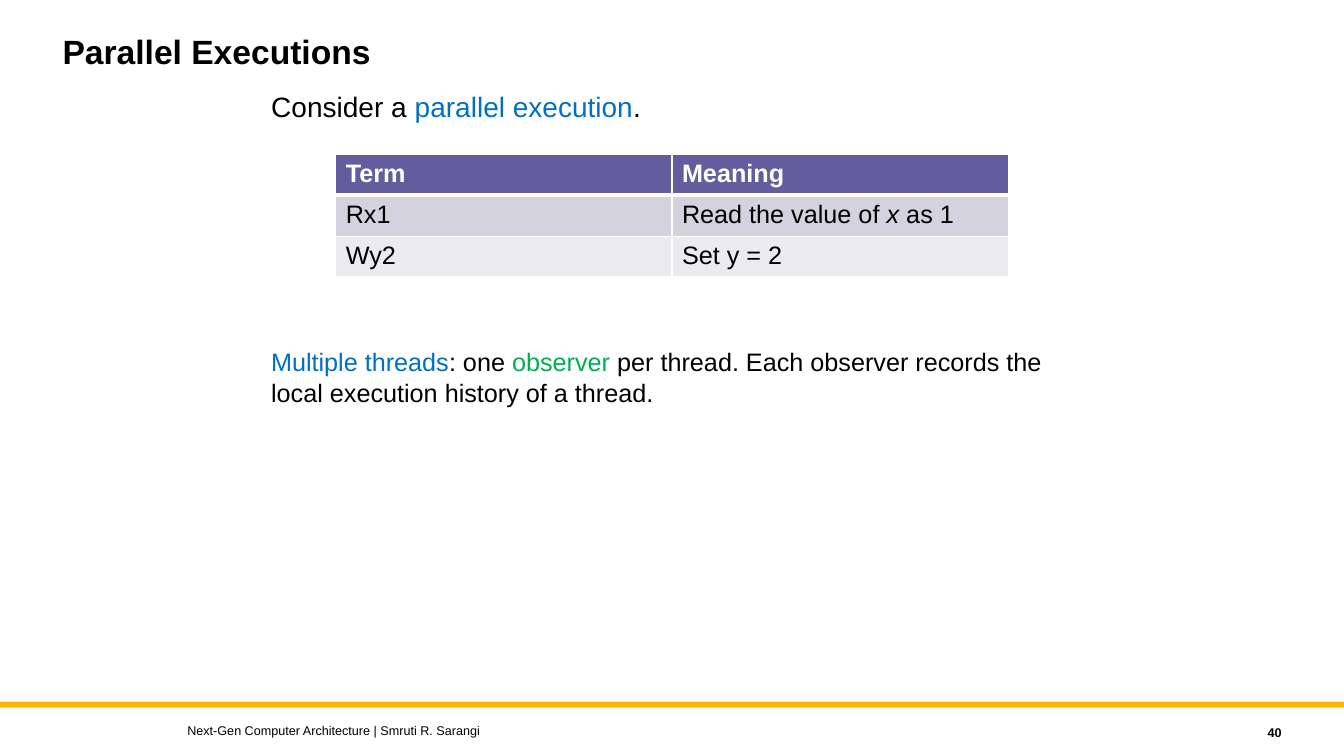
from lxml import etree
from pptx import Presentation
from pptx.dml.color import RGBColor
from pptx.enum.shapes import MSO_SHAPE
from pptx.enum.text import MSO_ANCHOR, MSO_AUTO_SIZE, PP_ALIGN
from pptx.oxml.ns import qn
from pptx.util import Inches, Pt

COLORS = {
    "black": "000000", "white": "FFFFFF", "blue": "0070C0", "green": "00B050",
    "gold": "FFB600", "header": "625D9C", "band_dark": "D3D2DE", "band_light": "EAEAEF",
}


def rgb(name):
    return RGBColor.from_string(COLORS[name])


class SlideBuilder:
    font_name = "Arial"

    def __init__(self, page):
        self.page = page

    def place(self, shape, left, top, width, height):
        shape.left, shape.top = Inches(left), Inches(top)
        shape.width, shape.height = Inches(width), Inches(height)

    def fill_text(self, frame, spans, size, color="black", bold=False,
                  align=PP_ALIGN.LEFT, line_spacing=1.0):
        """Fill the first paragraph; a span is (text, colour or None, italic)."""
        paragraph = frame.paragraphs[0]
        paragraph.alignment = align
        paragraph.line_spacing = line_spacing
        paragraph.space_before = Pt(0)
        font = paragraph.font
        font.name, font.size, font.bold = self.font_name, Pt(size), bold
        font.color.rgb = rgb(color)
        for text, span_color, italic in spans:
            for number, line in enumerate(text.split("\n")):
                if number:
                    paragraph.add_line_break()
                span = paragraph.add_run()
                span.text = line
                if span_color:
                    span.font.color.rgb = rgb(span_color)
                if italic:
                    span.font.italic = True

    def placeholder(self, shape, area, spans, size, **style):
        self.place(shape, *area)
        frame = shape.text_frame
        frame.auto_size = MSO_AUTO_SIZE.NONE
        frame.vertical_anchor = MSO_ANCHOR.TOP
        properties = frame.paragraphs[0]._p.get_or_add_pPr()
        properties.set("marL", "0")
        properties.set("indent", "0")
        etree.SubElement(properties, qn("a:buNone"))
        self.fill_text(frame, spans, size, **style)

    def text(self, area, spans, size, anchor=MSO_ANCHOR.TOP, wrap=True, **style):
        box = self.page.shapes.add_textbox(*map(Inches, area))
        box.text_frame.word_wrap = wrap
        box.text_frame.vertical_anchor = anchor
        self.fill_text(box.text_frame, spans, size, **style)

    def bar(self, area, color):
        shape = self.page.shapes.add_shape(MSO_SHAPE.RECTANGLE, *map(Inches, area))
        shape.shadow.inherit = False
        shape.fill.solid()
        shape.fill.fore_color.rgb = rgb(color)
        shape.line.fill.background()

    def borders(self, cell, widths):
        """Draw white borders; widths maps each side tag to points."""
        properties = cell._tc.get_or_add_tcPr()
        for position, (side, width) in enumerate(widths.items()):
            line = etree.Element(qn(f"a:{side}"), w=str(Pt(width)))
            fill = etree.SubElement(line, qn("a:solidFill"))
            etree.SubElement(fill, qn("a:srgbClr"), val=COLORS["white"])
            properties.insert(position, line)

    def table(self, area, rows, fills, size):
        row_count, column_count = len(rows), len(rows[0])
        grid = self.page.shapes.add_table(row_count, column_count, *map(Inches, area)).table
        for row_index, row in enumerate(rows):
            is_header = row_index == 0
            for column_index, spans in enumerate(row):
                cell = grid.cell(row_index, column_index)
                cell.fill.solid()
                cell.fill.fore_color.rgb = rgb(fills[row_index])
                self.borders(cell, {"lnL": 1, "lnR": 1, "lnT": 3 if row_index == 1 else 1,
                                    "lnB": 3 if is_header else 1})
                self.fill_text(cell.text_frame, spans, size, bold=is_header,
                               color="white" if is_header else "black")


def plain(text):
    return [(text, None, False)]


def main():
    deck = Presentation()
    deck.slide_width, deck.slide_height = Inches(13.33), Inches(7.5)
    page = deck.slides.add_slide(deck.slide_layouts[1])
    builder = SlideBuilder(page)

    builder.bar((0, 6.96, 13.33, 0.06), "gold")
    builder.placeholder(page.shapes.title, (0.52, 0.3, 10, 0.9),
                        plain("Parallel Executions"), 24, bold=True, line_spacing=0.9)
    builder.placeholder(page.placeholders[1], (2.59, 0.84, 7.5, 0.36), [
        ("Consider a ", None, False),
        ("parallel execution", "blue", False),
        (".", None, False),
    ], 20)

    terms = [
        [plain("Term"), plain("Meaning")],
        [plain("Rx1"), [("Read the value of ", None, False), ("x ", None, True),
                        ("as 1", None, False)]],
        [plain("Wy2"), plain("Set y = 2")],
    ]
    builder.table((3.33, 1.53, 6.67, 1.22), terms, ["header", "band_dark", "band_light"], 18)

    builder.text((2.59, 3.39, 7.92, 0.71), [
        ("Multiple threads", "blue", False),
        (": one ", None, False),
        ("observer", "green", False),
        (" per thread. Each observer records the\nlocal execution history of a thread.",
         None, False),
    ], 18, wrap=False)

    builder.text((1.76, 7.12, 8, 0.25),
                 plain("Next-Gen Computer Architecture | Smruti R. Sarangi"), 9,
                 anchor=MSO_ANCHOR.MIDDLE)
    builder.text((11.41, 7.14, 1.4, 0.25), plain("40"), 9, bold=True,
                 anchor=MSO_ANCHOR.MIDDLE, align=PP_ALIGN.RIGHT)

    deck.save("out.pptx")


if __name__ == "__main__":
    main()
